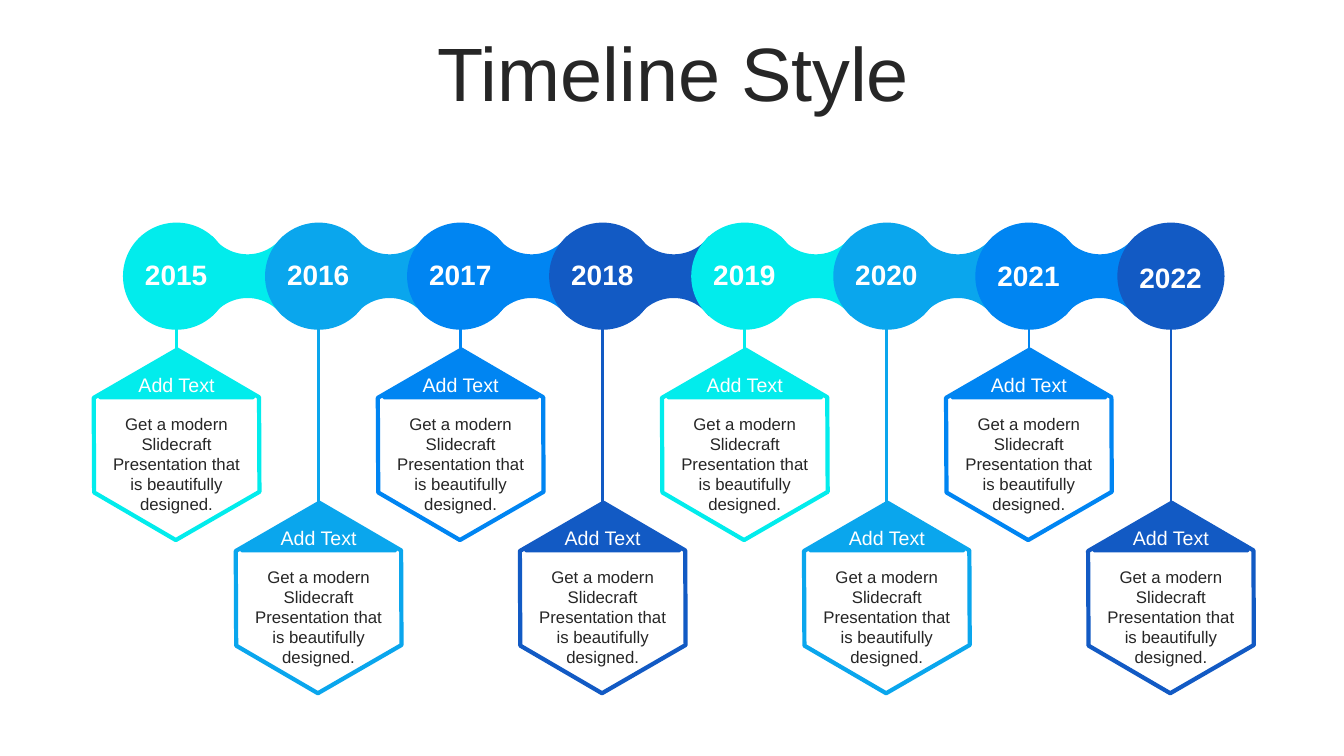
import math

import lxml.etree
import pptx
import pptx.dml.color
import pptx.enum.shapes
import pptx.enum.text
import pptx.oxml.ns
import pptx.util

Cm = pptx.util.Cm
Pt = pptx.util.Pt
RGBColor = pptx.dml.color.RGBColor
SHAPE = pptx.enum.shapes.MSO_SHAPE
ANCHOR = pptx.enum.text.MSO_ANCHOR
qn = pptx.oxml.ns.qn

WHITE = RGBColor(0xFF, 0xFF, 0xFF)
DARK = RGBColor(0x26, 0x26, 0x26)
CYAN = RGBColor(0x02, 0xEC, 0xEC)
SKY = RGBColor(0x0A, 0xA6, 0xED)
BLUE = RGBColor(0x00, 0x85, 0xF2)
NAVY = RGBColor(0x12, 0x5A, 0xC4)
COLORS = [CYAN, SKY, BLUE, NAVY]

YEARS = [2015, 2016, 2017, 2018, 2019, 2020, 2021, 2022]
LABEL_DROP = {2021: 0.03, 2022: 0.08}
HEADING = "Add Text"
BODY = "Get a modern Slidecraft Presentation that is beautifully designed."

# Layout in centimetres
PITCH = 3.58
DIAMETER = 2.7
CARD_WIDTH = 4.11
CARD_TOPS = [8.89, 12.75]


def add_text(s, x, y, w, h, text, size, color, bold=False, anchor=ANCHOR.TOP):
    tf = s.shapes.add_textbox(Cm(x), Cm(y), Cm(w), Cm(h)).text_frame
    tf.word_wrap = True
    tf.vertical_anchor = anchor
    p = tf.paragraphs[0]
    p.text = text
    p.alignment = pptx.enum.text.PP_ALIGN.CENTER
    p.font.name = "Arial"
    p.font.size = Pt(size)
    p.font.bold = bold
    p.font.color.rgb = color
    return p


def paint(sp, fill, line=None):
    sp.shadow.inherit = False
    sp.fill.solid()
    sp.fill.fore_color.rgb = fill
    if line is None:
        sp.line.fill.background()
    else:
        sp.line.color.rgb = line
        sp.line.width = Pt(3)


def add_title(s, x, y, w, h):
    p = add_text(s, x, y, w, h, "Timeline Style", 54, DARK, anchor=ANCHOR.MIDDLE)
    p.line_spacing = 0.9


def add_stem(s, x, top, bottom, color):
    line = s.shapes.add_connector(
        pptx.enum.shapes.MSO_CONNECTOR.STRAIGHT, Cm(x), Cm(top), Cm(x), Cm(bottom))
    line.line.color.rgb = color
    line.line.width = Pt(2)
    ln = line.line._get_or_add_ln()
    lxml.etree.SubElement(ln, qn("a:tailEnd")).set("type", "oval")
    lxml.etree.SubElement(line._element.spPr, qn("a:effectLst"))


def add_link(s, cx, cy, color):
    """Bridge between two circles, with a concave arc above and below."""
    radius, arc_center = 1.09, 1.64
    upper = [(-1.1, -1.0), (-0.88, -1.0)]
    for degrees in range(-45, 46, 5):
        a = math.radians(degrees)
        upper.append((radius * math.sin(a), radius * math.cos(a) - arc_center))
    upper += [(0.88, -1.0), (1.1, -1.0)]
    outline = upper + [(x, -y) for x, y in reversed(upper)]
    points = [(Cm(cx + x), Cm(cy + y)) for x, y in outline]
    builder = s.shapes.build_freeform(*points[0])
    builder.add_line_segments(points[1:], close=True)
    paint(builder.convert_to_shape(), color)


def add_chain(s, x, y):
    """Row of year circles whose first circle has its top left at x, y."""
    radius = DIAMETER / 2
    for i in range(len(YEARS) - 1):
        add_link(s, x + radius + (i + 0.5) * PITCH, y + radius, COLORS[i % 4])
    for i, year in enumerate(YEARS):
        left = x + i * PITCH
        sp = s.shapes.add_shape(
            SHAPE.OVAL, Cm(left), Cm(y), Cm(DIAMETER), Cm(DIAMETER))
        paint(sp, COLORS[i % 4])
        add_text(s, left + 0.13, y + 0.76 + LABEL_DROP.get(year, 0),
                 DIAMETER - 0.28, 1.12, str(year), 20, WHITE, bold=True)


def add_card(s, x, y, w, color):
    """Hexagon card with a coloured roof, a heading and a text."""
    cx = x + w / 2
    sp = s.shapes.add_shape(
        SHAPE.HEXAGON, Cm(cx - 2.4), Cm(y + 0.25), Cm(4.8), Cm(4.14))
    sp.adjustments[0] = 0.286
    sp.rotation = 330
    paint(sp, WHITE, color)
    roof = s.shapes.add_shape(
        SHAPE.ISOSCELES_TRIANGLE, Cm(cx - 1.93), Cm(y), Cm(3.86), Cm(1.12))
    paint(roof, color, color)
    add_text(s, x, y + 0.38, w, 0.86, HEADING, 14, WHITE)
    add_text(s, x, y + 1.4, w, 2.82, BODY, 12, DARK)


def add_timeline(s, x, y):
    centers = [x + DIAMETER / 2 + i * PITCH for i in range(len(YEARS))]
    # Stems behind the circles and cards
    for i, cx in enumerate(centers):
        add_stem(s, cx, y + DIAMETER - 0.08, CARD_TOPS[i % 2] + 0.28, COLORS[i % 4])
    add_chain(s, x, y)
    # Cards alternate between the two rows
    for i, cx in enumerate(centers):
        add_card(s, cx - CARD_WIDTH / 2, CARD_TOPS[i % 2], CARD_WIDTH, COLORS[i % 4])


def main():
    prs = pptx.Presentation()
    prs.slide_width = Cm(33.87)
    prs.slide_height = Cm(19.05)
    s = prs.slides.add_slide(prs.slide_layouts[6])
    add_title(s, 0.89, 0.94, 32.16, 2.0)
    add_timeline(s, 3.1, 5.61)
    prs.save("out.pptx")


if __name__ == "__main__":
    main()
